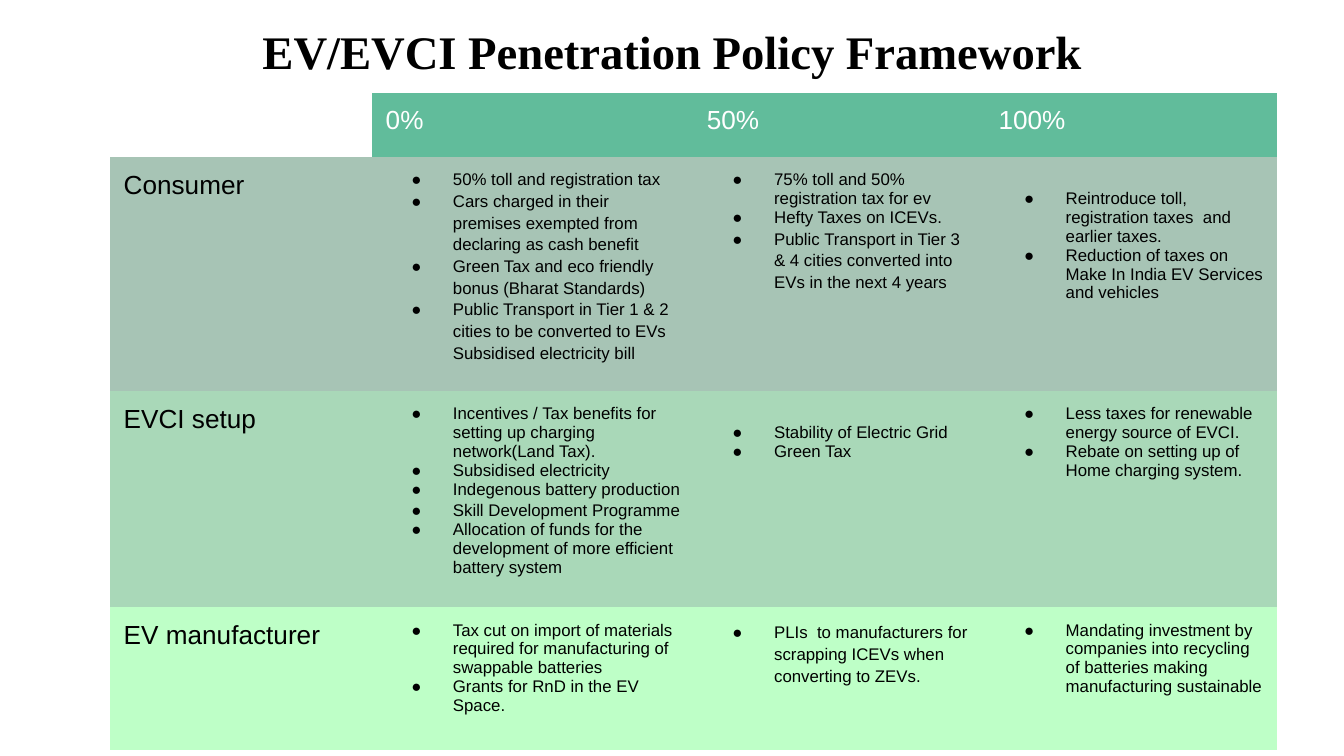
import pptx
import pptx.dml.color
import pptx.enum.text
import pptx.oxml.ns
import pptx.util
from lxml import etree
from dataclasses import dataclass

Inches = pptx.util.Inches
Pt = pptx.util.Pt
qn = pptx.oxml.ns.qn


@dataclass(frozen=True)
class Theme:
    head_font: str = "Times New Roman"
    body_font: str = "Arial"
    ink: str = "000000"
    paper: str = "FFFFFF"
    header: str = "61BC9B"
    bands: tuple = ("A7C4B5", "A9D8B8", "BEFFC7")
    title_size: int = 25
    corner_size: int = 18
    label_size: int = 14
    item_size: int = 9
    inset: float = 0.1
    lowered_inset: float = 0.24
    loose_spacing: float = 1.15


THEME = Theme()
NO_GRID = "{2D5ABB26-0587-4C30-8999-92F81FD0307C}"
SLIDE_SIZE = (10, 10 * 9 / 16)
TITLE_BOX = (1.68, 0.07, 6.64, 0.62)
TABLE_AT = (0.82, 0.69)
COLUMNS = (1.95, 2.39, 2.17, 2.17)
ROWS = (0.34, 1.74, 1.61, 1.06)


@dataclass(frozen=True)
class Item:
    text: str
    loose: bool = False


@dataclass(frozen=True)
class Items:
    """Bulleted list of one cell; a lowered list starts one line further down."""
    items: tuple
    lowered: bool = False


STAGES = ("0%", "50%", "100%")
POLICIES = (
    ("Consumer", (
        Items((
            Item("50% toll and registration tax"),
            Item("Cars charged in their premises exempted from declaring as cash benefit", True),
            Item("Green Tax and eco friendly bonus (Bharat Standards)", True),
            Item("Public Transport in Tier 1 & 2 cities to be converted to EVs "
                 "Subsidised electricity bill", True))),
        Items((
            Item("75% toll and 50% registration tax for ev"),
            Item("Hefty Taxes on ICEVs."),
            Item("Public Transport in Tier 3 & 4 cities converted into EVs "
                 "in the next 4 years", True))),
        Items((
            Item("Reintroduce toll, registration taxes  and earlier taxes."),
            Item("Reduction of taxes on Make In India EV Services and vehicles")), lowered=True))),
    ("EVCI setup", (
        Items((
            Item("Incentives / Tax benefits for setting up charging network(Land Tax)."),
            Item("Subsidised electricity"),
            Item("Indegenous battery production"),
            Item("Skill Development Programme", True),
            Item("Allocation of funds for the development of more efficient battery system"))),
        Items((
            Item("Stability of Electric Grid"),
            Item("Green Tax")), lowered=True),
        Items((
            Item("Less taxes for renewable energy source of EVCI."),
            Item("Rebate on setting up of Home charging system."))))),
    ("EV manufacturer", (
        Items((
            Item("Tax cut on import of materials required for manufacturing of swappable batteries"),
            Item("Grants for RnD in the EV Space."))),
        Items((
            Item("PLIs  to manufacturers for scrapping ICEVs when converting to ZEVs.", True),)),
        Items((
            Item("Mandating investment by companies into recycling of batteries "
                 "making manufacturing sustainable"),)))),
)


def rgb(value):
    return pptx.dml.color.RGBColor.from_string(value)


def apply(target, values):
    for name, value in values.items():
        setattr(target, name, value)


def insets(value):
    return {f"margin_{side}": Inches(value) for side in ("left", "top", "right", "bottom")}


def write(p, text, size, color, font, bold=False):
    r = p.add_run()
    r.text = text
    apply(r.font, {"size": Pt(size), "name": font, "bold": bold})
    r.font.color.rgb = rgb(color)


def add_bullet(p):
    pPr = p._p.get_or_add_pPr()
    pPr.set("marL", str(Inches(0.5)))
    pPr.set("indent", str(Inches(-0.31)))
    color = etree.SubElement(pPr, qn("a:buClr"))
    etree.SubElement(color, qn("a:srgbClr")).set("val", THEME.ink)
    etree.SubElement(pPr, qn("a:buFont")).set("typeface", THEME.body_font)
    etree.SubElement(pPr, qn("a:buChar")).set("char", "●")


def fill_cell(cell, color):
    apply(cell, insets(THEME.inset))
    cell.fill.solid()
    cell.fill.fore_color.rgb = rgb(color)


def corner_cell(cell):
    """Empty cell whose type size sets the height of the header row."""
    fill_cell(cell, THEME.paper)
    end = etree.SubElement(cell.text_frame.paragraphs[0]._p, qn("a:endParaRPr"))
    end.set("sz", str(THEME.corner_size * 100))
    etree.SubElement(end, qn("a:latin")).set("typeface", THEME.body_font)


def label_cell(cell, text, fill, color):
    fill_cell(cell, fill)
    write(cell.text_frame.paragraphs[0], text, THEME.label_size, color, THEME.body_font)


def list_cell(cell, policy, fill):
    fill_cell(cell, fill)
    if policy.lowered:
        cell.margin_top = Inches(THEME.lowered_inset)
    tf = cell.text_frame
    for i, item in enumerate(policy.items):
        p = tf.add_paragraph() if i else tf.paragraphs[0]
        add_bullet(p)
        if item.loose:
            p.line_spacing = THEME.loose_spacing
        write(p, item.text, THEME.item_size, THEME.ink, THEME.body_font)


def place_title(s, box, text):
    sp = s.shapes.title
    apply(sp, dict(zip(("left", "top", "width", "height"), map(Inches, box))))
    tf = sp.text_frame
    apply(tf, insets(THEME.inset) | {
        "word_wrap": True,
        "auto_size": pptx.enum.text.MSO_AUTO_SIZE.NONE,
        "vertical_anchor": pptx.enum.text.MSO_ANCHOR.TOP,
    })
    p = tf.paragraphs[0]
    p.alignment = pptx.enum.text.PP_ALIGN.CENTER
    write(p, text, THEME.title_size, THEME.ink, THEME.head_font, bold=True)


def place_policy_table(s, at, columns, rows):
    box = map(Inches, (*at, sum(columns), sum(rows)))
    table = s.shapes.add_table(len(rows), len(columns), *box).table
    apply(table, {"first_row": False, "horz_banding": False})
    table._tbl.tblPr.find(qn("a:tableStyleId")).text = NO_GRID
    for column, width in zip(table.columns, columns):
        column.width = Inches(width)
    for row, height in zip(table.rows, rows):
        row.height = Inches(height)

    corner_cell(table.cell(0, 0))
    for c, stage in enumerate(STAGES, 1):
        label_cell(table.cell(0, c), stage, THEME.header, THEME.paper)
    for r, ((group, policies), band) in enumerate(zip(POLICIES, THEME.bands), 1):
        label_cell(table.cell(r, 0), group, band, THEME.ink)
        for c, policy in enumerate(policies, 1):
            list_cell(table.cell(r, c), policy, band)


def main():
    prs = pptx.Presentation()
    prs.slide_width, prs.slide_height = map(Inches, SLIDE_SIZE)
    s = prs.slides.add_slide(prs.slide_layouts.get_by_name("Title Only"))
    place_policy_table(s, TABLE_AT, COLUMNS, ROWS)
    place_title(s, TITLE_BOX, "EV/EVCI Penetration Policy Framework")
    prs.save("out.pptx")


if __name__ == "__main__":
    main()
